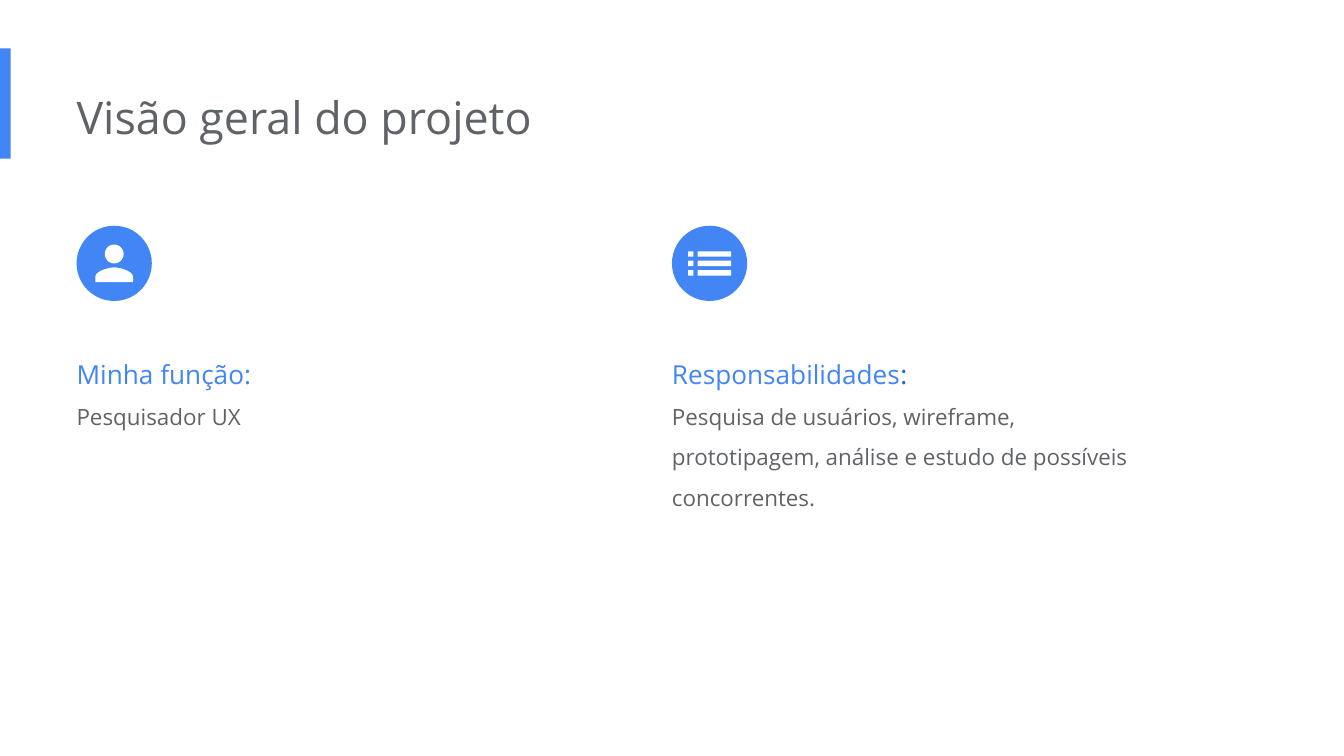
import math
from pptx import Presentation
from pptx import util as u
from pptx.dml.color import RGBColor
from pptx.enum import shapes, text

BLUE = RGBColor(0x42, 0x85, 0xF4)
DARK_BLUE = RGBColor(0x19, 0x67, 0xD2)
GRAY = RGBColor(0x5F, 0x63, 0x68)
WHITE = RGBColor(0xFF, 0xFF, 0xFF)
FONT = "Open Sans"

WIDTH = 10
HEIGHT = WIDTH * 9 / 16
MARGIN = 0.57
COLUMN_LEFTS = (MARGIN, WIDTH / 2)
BADGE_TOP, BADGE_SIZE = 1.68, 0.56
BODY_TOP, BODY_WIDTH = 2.45, 3.77

TITLE = [[("Visão geral do projeto", 24, GRAY)]]
SECTIONS = [
    {
        "icon": "person",
        "height": 0.85,
        "lines": [
            [("Minha função:", 14, BLUE)],
            [("Pesquisador UX", 12, GRAY)],
        ],
    },
    {
        "icon": "list",
        "height": 1.45,
        "lines": [
            [("Responsabilidades", 14, BLUE), (":", 14, DARK_BLUE)],
            [("Pesquisa de usuários, wireframe, prototipagem, análise e estudo "
              "de possíveis concorrentes.", 12, GRAY)],
        ],
    },
]


def person_outlines():
    turns = [math.tau * step / 48 for step in range(48)]
    head = [(0.07 * math.cos(a), -0.07 + 0.07 * math.sin(a)) for a in turns]
    shoulder = []
    for step in range(17):
        t = step / 16
        weights = ((1 - t) ** 3, 3 * t * (1 - t) ** 2, 3 * t * t * (1 - t), t ** 3)
        controls = ((0, 0.03), (0.05, 0.03), (0.14, 0.06), (0.14, 0.1))
        shoulder.append(tuple(sum(w * c[axis] for w, c in zip(weights, controls))
                              for axis in (0, 1)))
    right = shoulder + [(0.14, 0.14)]
    left = [(-x, y) for x, y in reversed(right)]
    return [head, right + left]


def list_outlines():
    outlines = []
    for row in (-1, 0, 1):
        top, bottom = row * 0.07 - 0.02, row * 0.07 + 0.02
        for start, end in ((-0.16, -0.12), (-0.09, 0.16)):
            outlines.append([(start, top), (end, top), (end, bottom), (start, bottom)])
    return outlines


ICONS = {"person": person_outlines, "list": list_outlines}


def paint(shape, color):
    shape.shadow.inherit = False
    shape.fill.solid()
    shape.fill.fore_color.rgb = color
    shape.line.fill.background()


def add_block(slide, kind, box, color):
    paint(slide.shapes.add_shape(kind, *map(u.Inches, box)), color)


def add_icon(slide, outlines, center_x, center_y):
    placed = [[(u.Inches(center_x + x), u.Inches(center_y + y)) for x, y in outline]
              for outline in outlines]
    pen = slide.shapes.build_freeform(*placed[0][0])
    pen.add_line_segments(placed[0][1:], close=True)
    for outline in placed[1:]:
        pen.move_to(*outline[0])
        pen.add_line_segments(outline[1:], close=True)
    paint(pen.convert_to_shape(), WHITE)


def add_text(slide, box, lines, spacing):
    frame = slide.shapes.add_textbox(*map(u.Inches, box)).text_frame
    settings = {
        "word_wrap": True,
        "auto_size": text.MSO_AUTO_SIZE.SHAPE_TO_FIT_TEXT,
        "margin_left": 0,
        "margin_right": u.Inches(0.1),
        "margin_top": u.Inches(0.1),
        "margin_bottom": u.Inches(0.1),
    }
    for name, value in settings.items():
        setattr(frame, name, value)
    for index, line in enumerate(lines):
        paragraph = frame.add_paragraph() if index else frame.paragraphs[0]
        paragraph.line_spacing = spacing
        for wording, size, color in line:
            run = paragraph.add_run()
            run.text = wording
            for name, value in {"name": FONT, "size": u.Pt(size)}.items():
                setattr(run.font, name, value)
            run.font.color.rgb = color


def main():
    deck = Presentation()
    deck.slide_width, deck.slide_height = u.Inches(WIDTH), u.Inches(HEIGHT)
    slide = deck.slides.add_slide(deck.slide_layouts[6])

    add_block(slide, shapes.MSO_SHAPE.RECTANGLE, (0, 0.36, 0.08, 0.82), BLUE)
    add_text(slide, (MARGIN, 0.57, 6.73, 0.61), TITLE, 1.0)

    for left, section in zip(COLUMN_LEFTS, SECTIONS):
        add_block(slide, shapes.MSO_SHAPE.OVAL,
                  (left, BADGE_TOP, BADGE_SIZE, BADGE_SIZE), BLUE)
        add_icon(slide, ICONS[section["icon"]](),
                 left + BADGE_SIZE / 2, BADGE_TOP + BADGE_SIZE / 2)
        add_text(slide, (left, BODY_TOP, BODY_WIDTH, section["height"]),
                 section["lines"], 1.5)

    deck.save("out.pptx")


if __name__ == "__main__":
    main()
